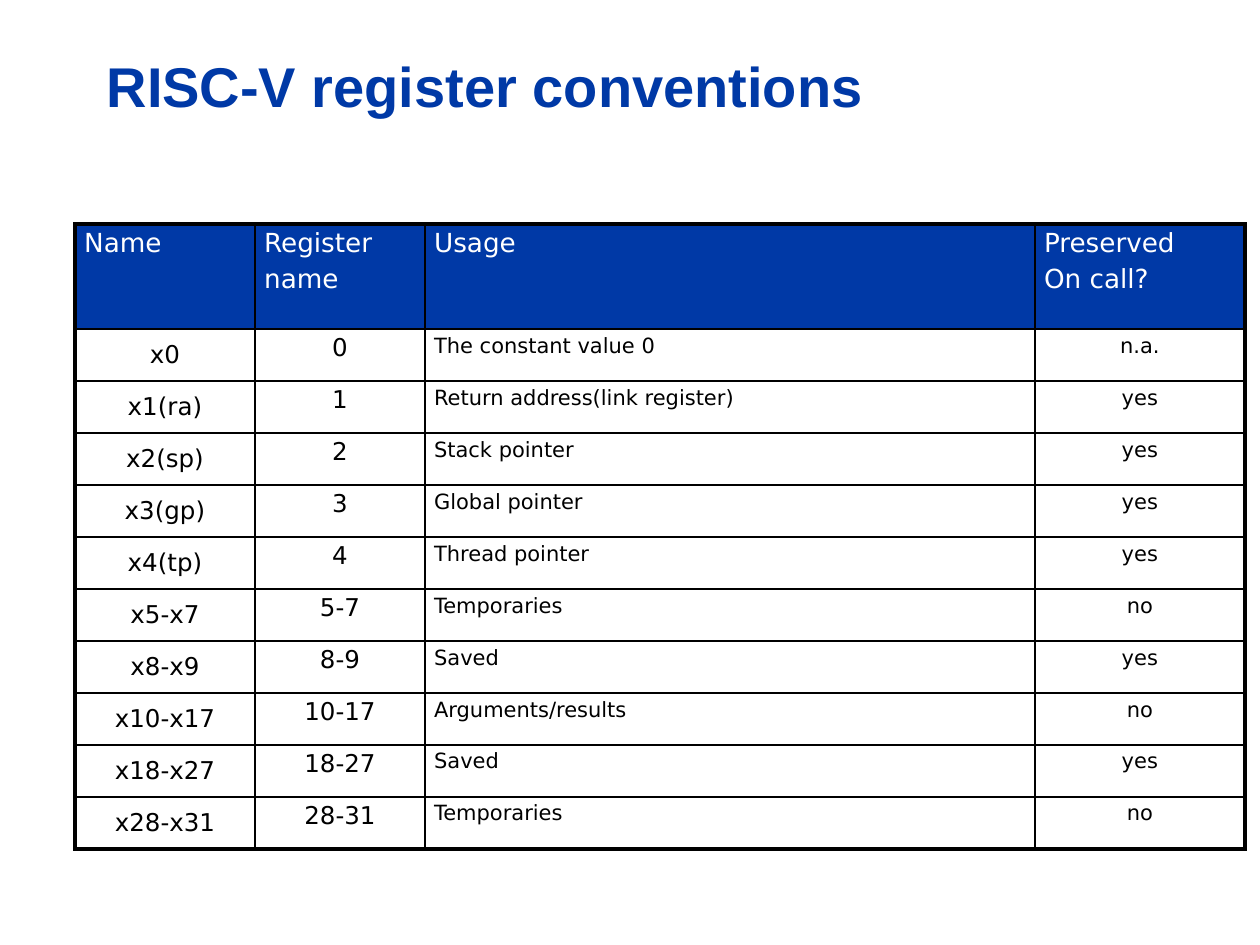
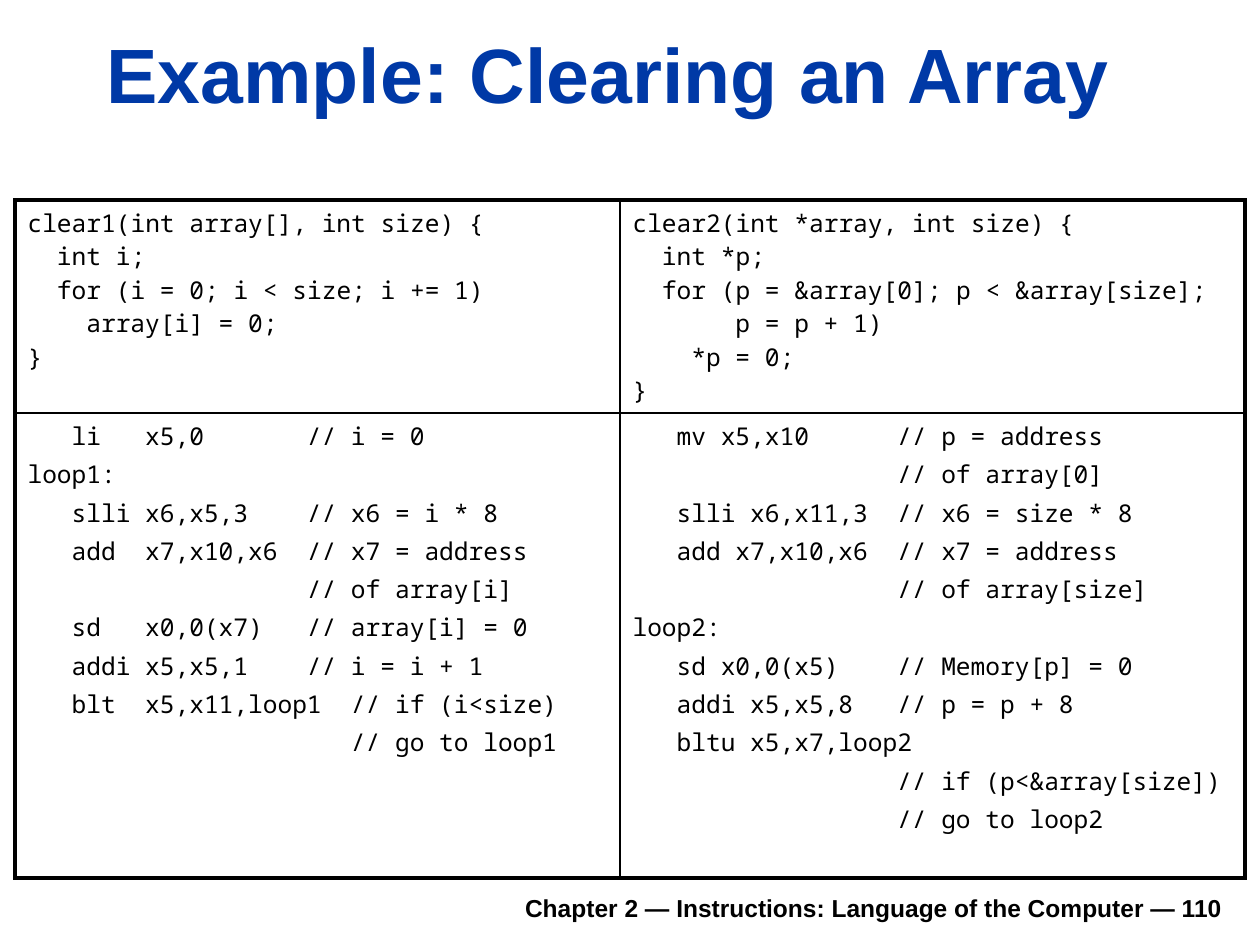
from lxml.etree import SubElement
from pptx import Presentation
from pptx.dml.color import RGBColor
from pptx.enum.text import MSO_ANCHOR as Anchor, MSO_AUTO_SIZE as Auto, PP_ALIGN as Align
from pptx.oxml import parse_xml
from pptx.oxml.ns import nsdecls, qn
from pptx.util import Emu, Pt

BLUE = RGBColor(0x00, 0x39, 0xA6)
BLACK = RGBColor(0, 0, 0)
WHITE = RGBColor(255, 255, 255)
SANS, TABLE, MONO = "Arial", "DejaVu Sans", "Noto Sans Mono"
CHAR = 8.4  # advance of one 14 pt mono letter, in points
THIN, THICK = 1, 2.25

HEADS = ("Name", "Register\nname", "Usage", "Preserved\nOn call?")
REGS = [
    ("x0", "0", "The constant value 0", "n.a."),
    ("x1(ra)", "1", "Return address(link register)", "yes"),
    ("x2(sp)", "2", "Stack pointer", "yes"),
    ("x3(gp)", "3", "Global pointer", "yes"),
    ("x4(tp)", "4", "Thread pointer", "yes"),
    ("x5-x7", "5-7", "Temporaries", "no"),
    ("x8-x9", "8-9", "Saved", "yes"),
    ("x10-x17", "10-17", "Arguments/results", "no"),
    ("x18-x27", "18-27", "Saved", "yes"),
    ("x28-x31", "28-31", "Temporaries", "no"),
]
# Per column: text size, alignment, anchor
COLS = [
    (14, Align.CENTER, Anchor.MIDDLE),
    (14, Align.CENTER, Anchor.TOP),
    (12, Align.LEFT, Anchor.TOP),
    (12, Align.CENTER, Anchor.TOP),
]

# Each cell: tab stops in letters, then its lines
C_CODE = [
    ((2, 4), [
        "clear1(int array[], int size) {",
        "\tint i;",
        "\tfor (i = 0; i < size; i += 1)",
        "\t\tarray[i] = 0;",
        "}",
    ]),
    ((2, 4, 7), [
        "clear2(int *array, int size) {",
        "\tint *p;",
        "\tfor (p = &array[0]; p < &array[size];",
        "\t\t\tp = p + 1)",
        "\t\t*p = 0;",
        "}",
    ]),
]
ASM = [
    ((3, 8, 19, 22), [
        "\tli\tx5,0\t// i = 0",
        "loop1:",
        "\tslli\tx6,x5,3\t// x6 = i * 8",
        "\tadd\tx7,x10,x6\t// x7 = address",
        "\t\t\t// of array[i]",
        "\tsd\tx0,0(x7)\t// array[i] = 0",
        "\taddi\tx5,x5,1\t// i = i + 1",
        "\tblt\tx5,x11,loop1\t// if (i<size)",
        "\t\t\t\t// go to loop1",
    ]),
    ((3, 18), [
        "\tmv x5,x10\t// p = address",
        "\t\t// of array[0]",
        "\tslli x6,x11,3\t// x6 = size * 8",
        "\tadd x7,x10,x6\t// x7 = address",
        "\t\t// of array[size]",
        "loop2:",
        "\tsd x0,0(x5)\t// Memory[p] = 0",
        "\taddi x5,x5,8\t// p = p + 8",
        "\tbltu x5,x7,loop2",
        "\t\t// if (p<&array[size])",
        "\t\t// go to loop2",
    ]),
]
FOOT = "Chapter 2 — Instructions: Language of the Computer — 110"


def px(n):
    return Emu(round(n * 914400 / 126))


def put(obj, vals):
    for key, val in vals.items():
        setattr(obj, key, val)


def write(frame, text, face, size, color, bold=False, align=Align.LEFT, lead=0):
    """Fill a text frame; lead is the space before a line as a share of its size."""
    frame.text = text
    for par in frame.paragraphs:
        put(par, {"alignment": align, "space_before": Pt(lead * size)})
        for run in par.runs:
            put(run.font, {"name": face, "size": Pt(size), "bold": bold})
            run.font.color.rgb = color


def set_tabs(frame, stops):
    for par in frame.paragraphs:
        tabs = SubElement(par._p.get_or_add_pPr(), qn("a:tabLst"))
        for stop in stops:
            SubElement(tabs, qn("a:tab"), pos=str(Pt(stop * CHAR)), algn="l")


def new_slide(deck, title, size, top):
    slide = deck.slides.add_slide(deck.slide_layouts[5])
    head = slide.shapes.title
    put(head, {"left": px(94), "top": px(top), "width": px(1138), "height": px(125 - top)})
    put(head.text_frame, {"vertical_anchor": Anchor.BOTTOM, "word_wrap": True,
                          "auto_size": Auto.NONE})
    write(head.text_frame, title, SANS, size, BLUE, True)
    return slide


def edge(cell, sides):
    """Draw the four borders; sides tells which lie on the rim of the table."""
    props = cell._tc.get_or_add_tcPr()
    for i, (side, rim) in enumerate(zip("LRTB", sides)):
        width = Pt(THICK if rim else THIN)
        props.insert(i, parse_xml(
            f'<a:ln{side} {nsdecls("a")} w="{width}"><a:solidFill>'
            f'<a:srgbClr val="{BLACK}"/></a:solidFill></a:ln{side}>'))


def add_grid(slide, left, top, wide, high, pad):
    """Add a bordered table and yield row, column and cell."""
    rows, cols = len(high), len(wide)
    grid = slide.shapes.add_table(
        rows, cols, px(left), px(top), px(sum(wide)), px(sum(high))).table
    put(grid, {"first_row": False, "horz_banding": False})
    for col, w in zip(grid.columns, wide):
        col.width = px(w)
    for row, h in zip(grid.rows, high):
        row.height = px(h)
    for r in range(rows):
        for c in range(cols):
            cell = grid.cell(r, c)
            put(cell, {"margin_left": px(2 * pad), "margin_right": px(2 * pad),
                       "margin_top": px(pad), "margin_bottom": px(pad)})
            cell.fill.solid()
            cell.fill.fore_color.rgb = WHITE
            edge(cell, (c == 0, c == cols - 1, r == 0, r == rows - 1))
            yield r, c, cell


def reg_slide(deck):
    slide = new_slide(deck, "RISC-V register conventions", 32, 44)
    data = [HEADS] + REGS
    high = [105] + [52] * len(REGS)
    for r, c, cell in add_grid(slide, 75, 224, (180, 170, 610, 210), high, 4.6):
        size, align, anchor = COLS[c]
        if r == 0:
            cell.fill.fore_color.rgb = BLUE
            write(cell.text_frame, data[r][c], TABLE, 15, WHITE, lead=0.2)
        else:
            cell.vertical_anchor = anchor
            write(cell.text_frame, data[r][c], TABLE, size, BLACK, align=align, lead=0.2)


def code_slide(deck):
    slide = new_slide(deck, "Example: Clearing an Array", 44, 20)
    data, leads = (C_CODE, ASM), (0, 0.2)
    for r, c, cell in add_grid(slide, 15, 200, (605, 625), (200, 465), 6.3):
        stops, lines = data[r][c]
        write(cell.text_frame, "\n".join(lines), MONO, 14, BLACK, lead=leads[r])
        set_tabs(cell.text_frame, stops)
    foot = slide.shapes.add_textbox(px(233), px(880), px(1002), px(49)).text_frame
    put(foot, {"word_wrap": True, "vertical_anchor": Anchor.BOTTOM})
    write(foot, FOOT, SANS, 14, BLACK, True, Align.RIGHT)


def main():
    deck = Presentation()
    put(deck, {"slide_width": px(1260), "slide_height": px(945)})
    reg_slide(deck)
    code_slide(deck)
    deck.save("out.pptx")


if __name__ == "__main__":
    main()
